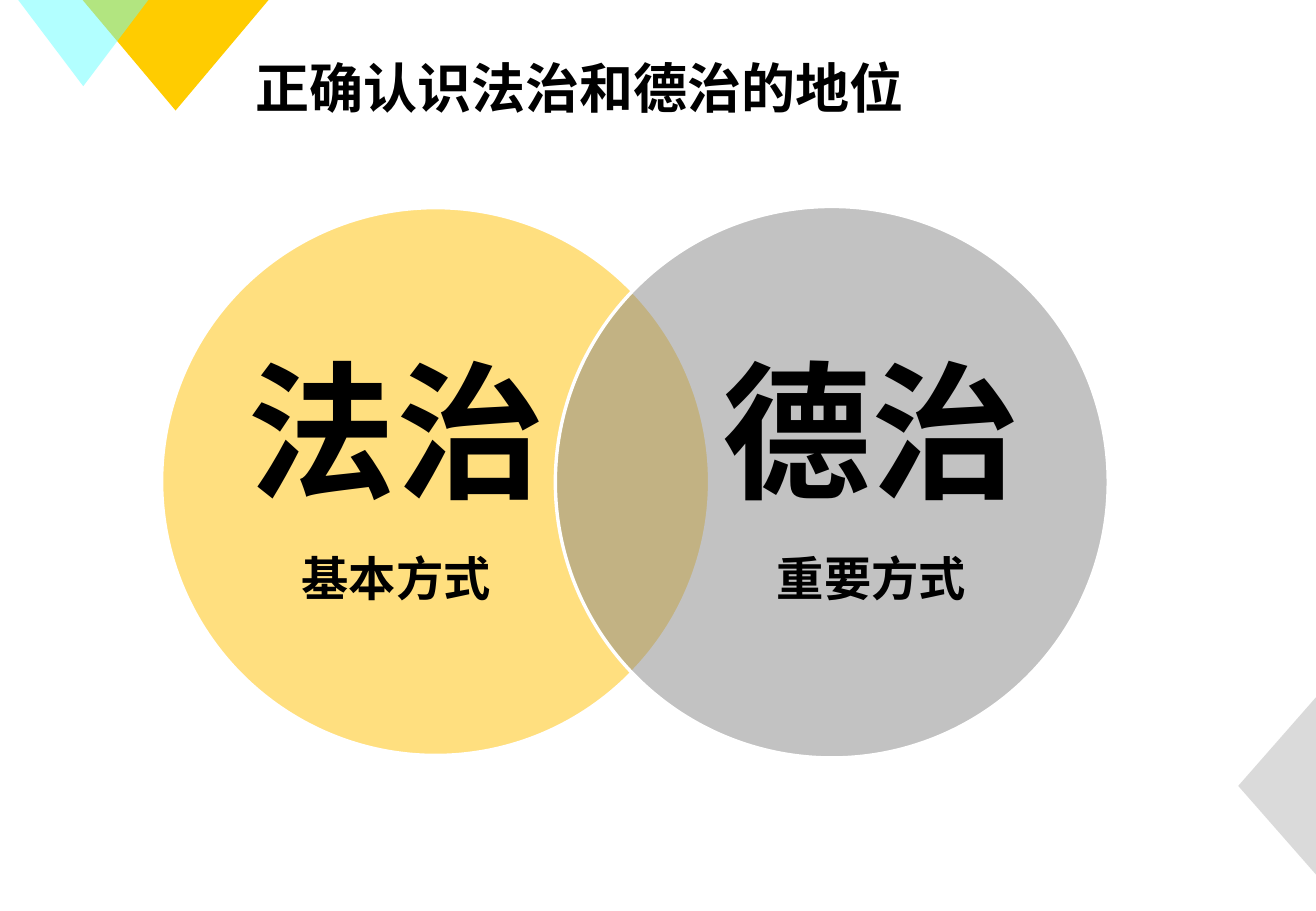
from lxml.etree import SubElement
from pptx import Presentation
from pptx.dml.color import RGBColor
from pptx.enum.shapes import MSO_SHAPE
from pptx.enum.text import MSO_ANCHOR, MSO_AUTO_SIZE, PP_ALIGN
from pptx.oxml.ns import qn
from pptx.util import Inches, Pt

FONT = "Noto Sans CJK SC"
BLACK = RGBColor(0x00, 0x00, 0x00)
WHITE = RGBColor(0xFF, 0xFF, 0xFF)
YELLOW = RGBColor(0xFF, 0xCC, 0x00)
CYAN = RGBColor(0x66, 0xFF, 0xFF)
LIGHT_GRAY = RGBColor(0xB7, 0xB7, 0xB7)
AMBER = RGBColor(0xFF, 0xC0, 0x00)
GRAY = RGBColor(0x87, 0x87, 0x87)

TITLE = "正确认识法治和德治的地位"
# box, rotation, colour, opacity in percent
TRIANGLES = [
    ((0.68, 0, 1.53, 0.91), 180, YELLOW, 100),
    ((0.15, 0, 1.07, 0.71), 180, CYAN, 50),
    ((9.78, 6.15, 1.46, 0.64), 270, LIGHT_GRAY, 50),
]
# circle box, colour, label box, heading, role
CIRCLES = [
    ((1.33, 1.71, 4.51, 4.51), AMBER, (1.96, 2.25, 2.6, 3.45), "法治", "基本方式"),
    ((4.57, 1.7, 4.55, 4.54), GRAY, (5.86, 2.24, 2.62, 3.47), "德治", "重要方式"),
]


def inches(box):
    return [Inches(length) for length in box]


def write(paragraph, text, size, align=PP_ALIGN.LEFT, line_spacing=None, after=0):
    paragraph.alignment = align
    paragraph.line_spacing = line_spacing
    paragraph.space_before = Pt(0)
    paragraph.space_after = Pt(after)
    run = paragraph.add_run()
    run.text = text
    run.font.size = Pt(size)
    run.font.bold = True
    run.font.color.rgb = BLACK
    run.font.name = FONT
    # Chinese characters take their font from the East Asian slot
    SubElement(run.font._element, qn("a:ea"), typeface=FONT)


def add_filled(shapes, kind, box, color, opacity=100, outline=None):
    shape = shapes.add_shape(kind, *inches(box))
    shape.shadow.inherit = False
    shape.fill.solid()
    shape.fill.fore_color.rgb = color
    if opacity < 100:
        color_element = shape._element.spPr.find(qn("a:solidFill"))[0]
        SubElement(color_element, qn("a:alpha"), val=str(opacity * 1000))
    if outline is None:
        shape.line.fill.background()
    else:
        shape.line.color.rgb = outline
        shape.line.width = Pt(2)
    return shape


def add_label(shapes, box, heading, role):
    frame = shapes.add_textbox(*inches(box)).text_frame
    frame.word_wrap = True
    frame.vertical_anchor = MSO_ANCHOR.MIDDLE
    frame.margin_left = frame.margin_right = 0
    frame.margin_top = frame.margin_bottom = 0
    layout = {"align": PP_ALIGN.CENTER, "line_spacing": 0.9}
    write(frame.paragraphs[0], heading, 88, after=21, **layout)
    write(frame.add_paragraph(), role, 28, after=13, **layout)


def main():
    presentation = Presentation()
    presentation.slide_width = Inches(10.83)
    presentation.slide_height = Inches(7.5)
    slide = presentation.slides.add_slide(presentation.slide_layouts[5])

    title = slide.shapes.title
    title.left, title.top, title.width, title.height = inches((2, 0.36, 7.79, 0.71))
    title.text_frame.auto_size = MSO_AUTO_SIZE.NONE
    title.text_frame.vertical_anchor = MSO_ANCHOR.MIDDLE
    write(title.text_frame.paragraphs[0], TITLE, 32)

    for box, rotation, color, opacity in TRIANGLES:
        triangle = add_filled(slide.shapes, MSO_SHAPE.ISOSCELES_TRIANGLE, box, color, opacity)
        triangle.rotation = rotation

    venn = slide.shapes.add_group_shape()
    for circle_box, color, label_box, heading, role in CIRCLES:
        add_filled(venn.shapes, MSO_SHAPE.OVAL, circle_box, color, 50, outline=WHITE)
        add_label(venn.shapes, label_box, heading, role)

    presentation.save("out.pptx")


if __name__ == "__main__":
    main()
